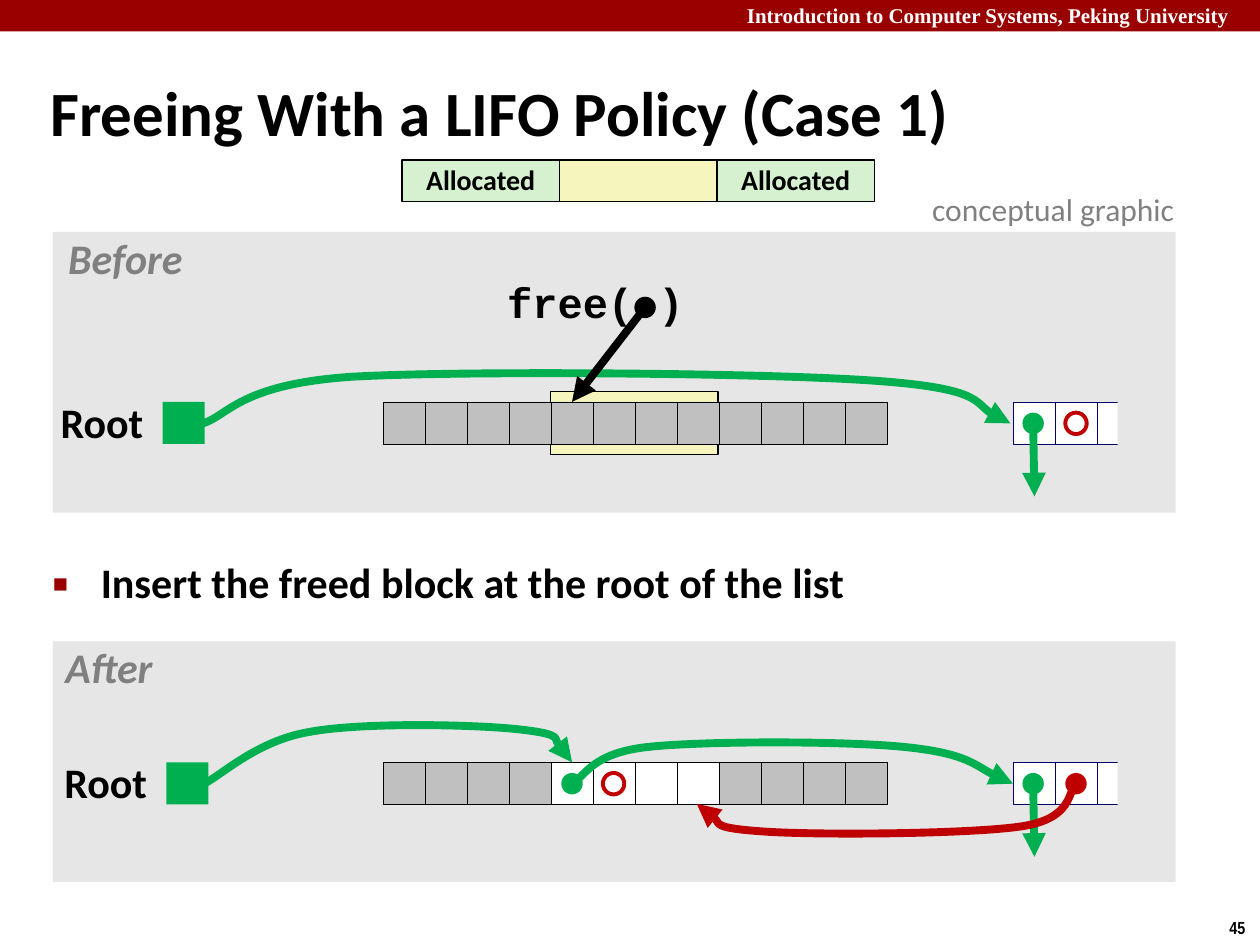
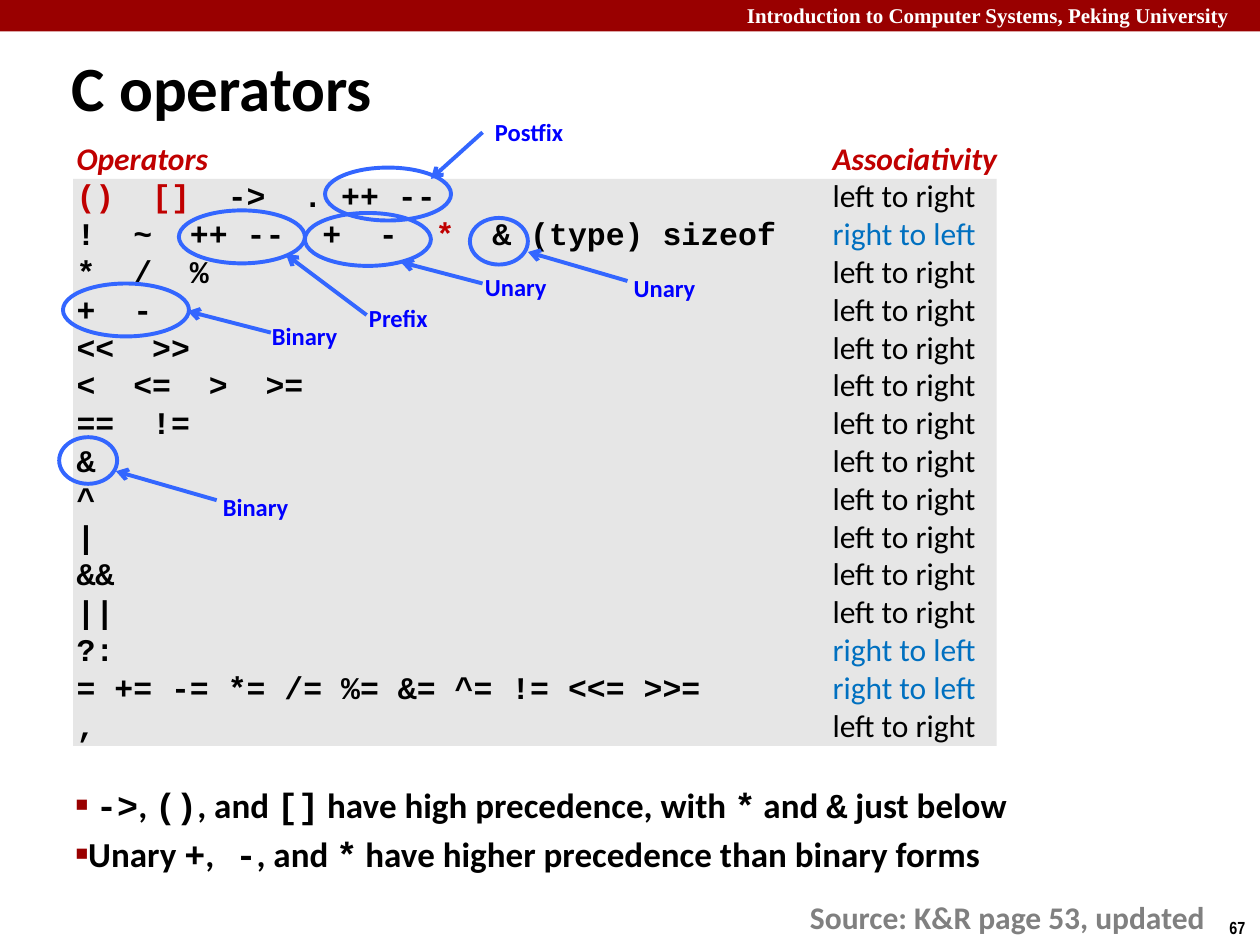
from lxml import etree
from pptx import Presentation
from pptx.dml.color import RGBColor
from pptx.enum.shapes import MSO_CONNECTOR, MSO_SHAPE
from pptx.enum.text import MSO_ANCHOR, MSO_AUTO_SIZE, PP_ALIGN
from pptx.oxml.ns import qn
from pptx.util import Inches, Pt

RECT, OVAL = MSO_SHAPE.RECTANGLE, MSO_SHAPE.OVAL
STRAIGHT = MSO_CONNECTOR.STRAIGHT
LEFT, CENTER = PP_ALIGN.LEFT, PP_ALIGN.CENTER
TOP, MIDDLE = MSO_ANCHOR.TOP, MSO_ANCHOR.MIDDLE
NO_FIT, GROW = MSO_AUTO_SIZE.NONE, MSO_AUTO_SIZE.SHAPE_TO_FIT_TEXT

BLACK, WHITE, BAND, PANEL = "000000", "FFFFFF", "990000", "E6E6E6"
GRAY, USED, GREEN, RED = "808080", "C0C0C0", "00B050", "C00000"
YELLOW, MINT, NAVY = "F6F5BD", "D5F1CF", "000066"
RING, NOTE, RIGHT_TO_LEFT = "3366FF", "0000FF", "0070C0"
SANS, MONO = "Calibri", "Courier New"
CELL = 1 / 3
DOT = 0.17


def rgb(color):
    return RGBColor.from_string(color)


def add_xml(parent, tag, **attributes):
    child = etree.SubElement(parent, qn(tag))
    for name, value in attributes.items():
        child.set(name, str(value))
    return child


class Deck:
    def __init__(self):
        self.prs = Presentation()
        self.prs.slide_width, self.prs.slide_height = Inches(10), Inches(7.5)
        self.slide = None

    def new_slide(self, number):
        self.slide = self.prs.slides.add_slide(self.prs.slide_layouts[1])
        self.shape(RECT, 0, 0, 10, 0.25, BAND)
        self.text("Introduction to Computer Systems, Peking University",
                  5.83, -0.03, 4.24, 0.3, 12, WHITE, font="Times New Roman", wrap=True)
        self.text(number, 9.66, 7.23, 0.34, 0.27, 10, font="Arial Narrow")

    def run(self, p, text, size, color=BLACK, font=SANS, bold=True, italic=False):
        r = p.add_run()
        r.text = text
        r.font.size, r.font.name = Pt(size), font
        r.font.bold, r.font.italic = bold, italic
        r.font.color.rgb = rgb(color)

    def place(self, sp, x, y, w, h):
        sp.left, sp.top, sp.width, sp.height = map(Inches, (x, y, w, h))

    def outline(self, sp, color, width, head=None):
        sp.line.color.rgb = rgb(color)
        sp.line.width = Pt(width)
        if head:
            add_xml(sp.element.spPr.find(qn("a:ln")), "a:tailEnd", type=head)

    def shape(self, kind, x, y, w, h, fill=None, line=None, width=0.25):
        sp = self.slide.shapes.add_shape(kind, *map(Inches, (x, y, w, h)))
        sp.shadow.inherit = False
        if fill:
            sp.fill.solid()
            sp.fill.fore_color.rgb = rgb(fill)
        else:
            sp.fill.background()
        if line:
            self.outline(sp, line, width)
        else:
            sp.line.fill.background()
        return sp

    def text_frame(self, x, y, w, h, wrap=False):
        tf = self.slide.shapes.add_textbox(*map(Inches, (x, y, w, h))).text_frame
        tf.word_wrap, tf.auto_size = wrap, GROW
        return tf

    def text(self, text, x, y, w, h, size, color=BLACK, wrap=False, **style):
        tf = self.text_frame(x, y, w, h, wrap)
        self.run(tf.paragraphs[0], text, size, color, **style)

    def label(self, text, x, y, w, color=BLACK, **style):
        tf = self.text_frame(x, y, w, 0.47)
        tf.margin_left = tf.margin_right = Inches(0.05)
        p = tf.paragraphs[0]
        p.alignment, p.line_spacing = CENTER, 0.9
        self.run(p, text, 24, color, **style)

    def title(self, text, x, y, w, h, spacing=1.0):
        sp = self.slide.shapes.title
        self.place(sp, x, y, w, h)
        tf = sp.text_frame
        tf.auto_size, tf.vertical_anchor = NO_FIT, MIDDLE
        p = tf.paragraphs[0]
        p.alignment, p.line_spacing = LEFT, spacing
        self.run(p, text, 36)

    def bullets(self, items, x, y, w, h, size, margin, indent, spacing=1.0):
        """Each item alternates plain text and code."""
        sp = self.slide.placeholders[1]
        self.place(sp, x, y, w, h)
        tf = sp.text_frame
        tf.auto_size, tf.vertical_anchor = NO_FIT, TOP
        for i, item in enumerate(items):
            p = tf.add_paragraph() if i else tf.paragraphs[0]
            p.line_spacing = spacing
            p.space_before = Pt(0.2 * size if i else 0)
            pPr = p._p.get_or_add_pPr()
            pPr.set("marL", str(Inches(margin)))
            pPr.set("indent", str(Inches(indent)))
            add_xml(add_xml(pPr, "a:buClr"), "a:srgbClr", val=BAND)
            add_xml(pPr, "a:buSzPct", val=60000)
            add_xml(pPr, "a:buChar", char="■")
            for j, text in enumerate(item):
                self.run(p, text, size, font=MONO if j % 2 else SANS)

    def arrow(self, x1, y1, x2, y2, color, width=4.5, head="triangle"):
        line = self.slide.shapes.add_connector(STRAIGHT, *map(Inches, (x1, y1, x2, y2)))
        self.outline(line, color, width, head)
        add_xml(line.element.spPr, "a:effectLst")

    def curve(self, color, start, *points):
        """Bezier arrow: every three points are two controls and an end."""
        builder = self.slide.shapes.build_freeform(*map(Inches, start))
        builder.add_line_segments([tuple(map(Inches, pt)) for pt in points], close=False)
        sp = builder.convert_to_shape()
        segments = list(sp.element.iter(qn("a:lnTo")))
        for i in range(0, len(segments), 3):
            bezier = etree.Element(qn("a:cubicBezTo"))
            segments[i].addprevious(bezier)
            for segment in segments[i:i + 3]:
                bezier.append(segment[0])
                segment.getparent().remove(segment)
        sp.fill.background()
        sp.shadow.inherit = False
        self.outline(sp, color, 4.5, "triangle")

    # Parts of the heap diagrams
    def panel(self, name, y, h, x, w):
        self.shape(RECT, 0.42, y, 8.91, h, PANEL)
        self.label(name, x, y, w, GRAY, italic=True)

    def dot(self, x, y, color, hollow=False):
        box = (x - DOT / 2, y - DOT / 2, DOT, DOT)
        if hollow:
            self.shape(OVAL, *box, line=color, width=2.25)
        else:
            self.shape(OVAL, *box, fill=color)

    def heap(self, y, root_x, free=()):
        self.label("Root", root_x - 0.86, y - 0.05, 0.76)
        self.shape(RECT, root_x, y, CELL, CELL, GREEN)
        for i in range(12):
            self.shape(RECT, 3.04 + i * CELL, y, CELL, CELL,
                       WHITE if i in free else USED, BLACK)
        # Next free block, cut off on its right side
        for i in range(3):
            self.shape(RECT, 8.04 + i * CELL, y, CELL, CELL, WHITE, NAVY)
        self.shape(RECT, 8.87, y - 0.08, CELL, 0.5, PANEL)
        self.dot(8.2, y + 0.17, GREEN)
        self.arrow(8.2, y + 0.17, 8.21, y + 0.75, GREEN)

    # Parts of the operator notes
    def ring(self, x, y, w, h):
        self.shape(OVAL, x, y, w, h, line=RING, width=2.25)

    def note(self, text, x, y, w, start, end):
        self.text(text, x, y, w, 0.34, 14, NOTE)
        self.arrow(*start, *end, RING, 2.25, "arrow")


def lifo_slide(deck):
    deck.new_slide("45")
    deck.title("Freeing With a LIFO Policy (Case 1)", 0.3, 0.5, 9.53, 0.86, 0.87)
    deck.bullets([["Insert the freed block at the root of the list"]],
                 0.32, 4.4, 9.09, 0.61, 24, 0.38, -0.38, 0.95)

    # Neighbouring blocks
    deck.text("conceptual graphic", 7.3, 1.46, 2.17, 0.4, 18, GRAY, bold=False)
    for i, (name, fill) in enumerate([("Allocated", MINT), ("", YELLOW), ("Allocated", MINT)]):
        sp = deck.shape(RECT, 3.19 + 1.25 * i, 1.27, 1.25, 0.33, fill, BLACK, 1)
        if name:
            tf = sp.text_frame
            tf.word_wrap, tf.vertical_anchor = False, MIDDLE
            p = tf.paragraphs[0]
            p.alignment, p.line_spacing = CENTER, 0.98
            deck.run(p, name, 16)

    # Before
    deck.panel("Before", 1.84, 2.23, 0.48, 1.03)
    deck.shape(RECT, 4.37, 3.11, 1.33, 0.5, YELLOW, BLACK, 0.75)
    deck.curve(GREEN, (1.61, 3.36), (1.81, 3.3), (1.9, 3.05), (2.79, 2.99),
               (3.67, 2.94), (6.05, 2.96), (6.92, 3.02),
               (7.79, 3.08), (7.79, 3.29), (8.02, 3.36))
    deck.heap(3.19, 1.29)
    deck.dot(8.54, 3.36, RED, hollow=True)
    deck.label("free( )", 3.97, 2.19, 1.51, font=MONO)
    deck.dot(5.12, 2.44, BLACK)
    deck.arrow(5.12, 2.44, 4.54, 3.19, BLACK)

    # After
    deck.panel("After", 5.09, 1.91, 0.46, 0.81)
    deck.heap(6.05, 1.32, free=range(4, 8))
    deck.dot(4.54, 6.22, GREEN)
    deck.dot(4.87, 6.22, RED, hollow=True)
    deck.dot(8.54, 6.22, RED)
    deck.curve(GREEN, (4.54, 6.22), (4.64, 6.17), (4.69, 5.98), (5.13, 5.93),
               (5.57, 5.88), (6.71, 5.88), (7.19, 5.93),
               (7.67, 5.98), (7.86, 6.16), (8.04, 6.22))
    deck.curve(RED, (8.54, 6.23), (8.47, 6.28), (8.52, 6.5), (8.1, 6.56),
               (7.69, 6.62), (6.49, 6.63), (6.06, 6.6),
               (5.63, 6.57), (5.64, 6.43), (5.53, 6.38))
    deck.curve(GREEN, (1.62, 6.22), (1.76, 6.15), (2.04, 5.88), (2.45, 5.81),
               (2.87, 5.73), (3.78, 5.75), (4.13, 5.79),
               (4.48, 5.83), (4.46, 5.99), (4.54, 6.05))


def operators_slide(deck):
    deck.new_slide("67")
    deck.title("C operators", 0.47, 0.37, 5.56, 0.63)
    deck.shape(RECT, 0.58, 1.42, 7.33, 4.5, PANEL)

    # Precedence list, highest first
    rows = [
        [("()  []  ", RED), ("->  . ++ --", BLACK)],
        [("!  ~  ++ --  +  -  ", BLACK), ("*  ", RED), ("& (type) sizeof", BLACK)],
    ]
    rows += [[(code, BLACK)] for code in (
        "*  /  %", "+  -", "<<  >>", "<  <=  >  >=", "==  !=", "&", "^", "|", "&&", "||",
        "?:", "= += -= *= /= %= &= ^= != <<= >>=", ",")]
    right_rows = (1, 12, 13)
    tf = deck.text_frame(0.51, 1.05, 7.57, 4.95)
    paragraphs = [tf.paragraphs[0]] + [tf.add_paragraph() for _ in rows]
    for p in paragraphs:
        tabs = add_xml(p._p.get_or_add_pPr(), "a:tabLst")
        add_xml(tabs, "a:tab", pos=Inches(6), algn="l")
    deck.run(paragraphs[0], "Operators\tAssociativity", 18, RED, italic=True)
    for i, (p, row) in enumerate(zip(paragraphs[1:], rows)):
        for code, color in row:
            deck.run(p, code, 18, color, MONO)
        deck.run(p, "\t", 18, font=MONO)
        if i in right_rows:
            deck.run(p, "right to left", 18, RIGHT_TO_LEFT, bold=False)
        else:
            deck.run(p, "left to right", 18, bold=False)

    deck.bullets([
        [" ", "->", ", ", "()", ", and ", "[]", " have high precedence, with ", "*",
         " and ", "&", " just below"],
        ["Unary ", "+", ",", " -", ", and ", "*", " have higher precedence than binary forms"],
    ], 0.5, 6.17, 7.83, 1.25, 20, 0.07, -0.26)
    deck.text("Source: K&R page 53, updated", 6.33, 7.08, 3.38, 0.4, 18, GRAY)

    # Rings around ambiguous operators
    for x, y in [(2.58, 1.33), (1.42, 1.67), (2.42, 1.69), (0.5, 2.25)]:
        deck.ring(x, y, 1, 0.42)
    for x, y in [(3.73, 1.73), (0.47, 3.47)]:
        deck.ring(x, y, 0.46, 0.37)

    # Notes with arrows to the rings
    deck.note("Postfix", 3.83, 0.88, 0.76, (3.83, 1.05), (3.42, 1.42))
    deck.note("Unary", 3.75, 2.11, 0.71, (3.83, 2.25), (3.18, 2.08))
    deck.note("Prefix", 2.83, 2.36, 0.68, (2.91, 2.5), (2.27, 2.02))
    deck.note("Binary", 2.06, 2.5, 0.73, (2.15, 2.64), (1.49, 2.47))
    deck.note("Unary", 4.93, 2.12, 0.71, (4.98, 2.23), (4.19, 2))
    deck.note("Binary", 1.67, 3.86, 0.73, (1.72, 3.97), (0.92, 3.74))


def main():
    deck = Deck()
    lifo_slide(deck)
    operators_slide(deck)
    deck.prs.save("out.pptx")


if __name__ == "__main__":
    main()
